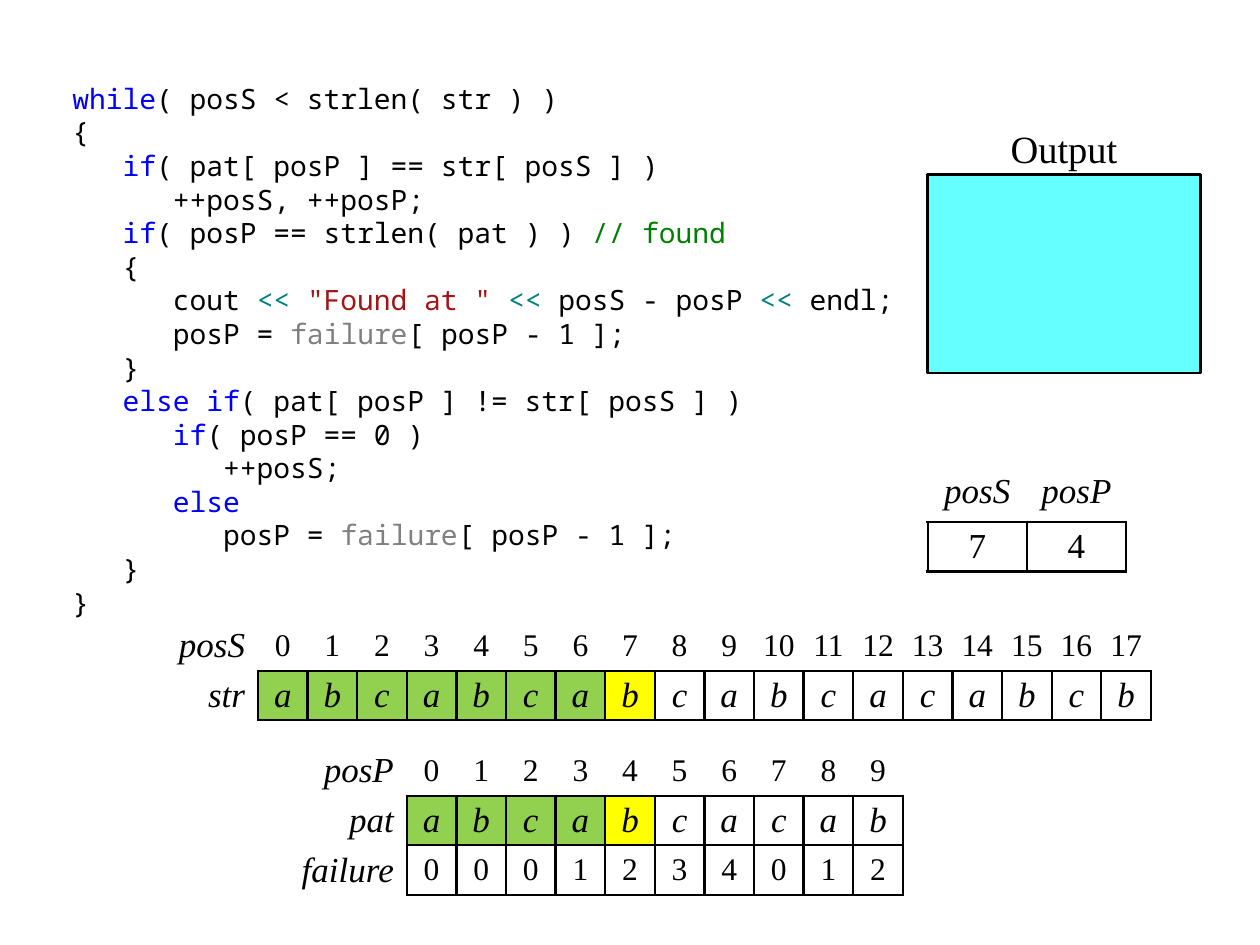
"""Build a slide tracing a string search with its failure table."""
import pptx
import pptx.dml.color
import pptx.enum.shapes
import pptx.enum.text
import pptx.oxml
import pptx.oxml.ns
import pptx.util

RGB = pptx.dml.color.RGBColor
BLACK = RGB(0x00, 0x00, 0x00)
WHITE = RGB(0xFF, 0xFF, 0xFF)
GREEN = RGB(0x92, 0xD0, 0x50)
YELLOW = RGB(0xFF, 0xFF, 0x00)
CYAN = RGB(0x66, 0xFF, 0xFF)
KEYWORD = RGB(0x00, 0x00, 0xFF)
COMMENT = RGB(0x00, 0x80, 0x00)
OPERATOR = RGB(0x00, 0x80, 0x80)
STRING = RGB(0xA3, 0x15, 0x15)
ARRAY = RGB(0x80, 0x80, 0x80)
SERIF = "Times New Roman"
MONO = "Noto Sans Mono"
EMU_PER_PX = 7200
CELL = 50
ALIGN = pptx.enum.text.PP_ALIGN
ANCHOR = pptx.enum.text.MSO_ANCHOR
NO_STYLE = "{2D5ABB26-0587-4C30-8999-92F81FD0307C}"

SHIFT = ("<< ", OPERATOR)
FAILURE = ("failure", ARRAY)
CODE = [
    [("while", KEYWORD), "( posS < strlen( str ) )"],
    ["{"],
    ["   ", ("if", KEYWORD), "( pat[ posP ] == str[ posS ] )"],
    ["      ++posS, ++posP;"],
    ["   ", ("if", KEYWORD), "( posP == strlen( pat ) ) ", ("// found", COMMENT)],
    ["   {"],
    ["      cout ", SHIFT, ('"Found at " ', STRING), SHIFT, "posS - posP ", SHIFT, "endl;"],
    ["      posP = ", FAILURE, "[ posP - 1 ];"],
    ["   }"],
    ["   ", ("else if", KEYWORD), "( pat[ posP ] != str[ posS ] )"],
    ["      ", ("if", KEYWORD), "( posP == 0 )"],
    ["         ++posS;"],
    ["      ", ("else", KEYWORD)],
    ["         posP = ", FAILURE, "[ posP - 1 ];"],
    ["   }"],
    ["}"],
]
CODE_BOX = (60, 76, 850, 550)
OUTPUT_BOX = (935, 176, 275, 200)
OUTPUT_LABEL = (985, 126, 175, 50)

TEXT = "abcabcabcabcacabcb"
PATTERN = "abcabcacab"
FAILURE_VALUES = [0, 0, 0, 1, 2, 3, 4, 0, 1, 2]
POS_S, POS_P = 7, 4
TABLES = [
    {"at": (160, 626), "label_width": 100, "column_width": CELL, "number_size": 18,
     "rows": [["posS", *range(len(TEXT))], ["str", *TEXT]], "position": POS_S},
    {"at": (935, 476), "label_width": 0, "column_width": 2 * CELL, "number_size": 20,
     "rows": [["posS", "posP"], [POS_S, POS_P]], "position": None},
    {"at": (285, 752), "label_width": 125, "column_width": CELL, "number_size": 18,
     "rows": [["posP", *range(len(PATTERN))], ["pat", *PATTERN], ["failure", *FAILURE_VALUES]],
     "position": POS_P},
]


def px(length):
    return pptx.util.Emu(length * EMU_PER_PX)


def box(lengths):
    return [px(length) for length in lengths]


def set_attributes(target, values):
    for name, value in values.items():
        setattr(target, name, value)


def add_run(paragraph, text, size, color=BLACK, name=SERIF, italic=False):
    run = paragraph.add_run()
    run.text = text
    set_attributes(run.font, {"size": pptx.util.Pt(size), "name": name, "italic": italic})
    run.font.color.rgb = color


def add_code(slide):
    shape = slide.placeholders[1]
    set_attributes(shape, dict(zip(("left", "top", "width", "height"), box(CODE_BOX))))
    frame = shape.text_frame
    set_attributes(frame, {
        "word_wrap": True, "auto_size": pptx.enum.text.MSO_AUTO_SIZE.NONE,
        "vertical_anchor": ANCHOR.TOP, "margin_left": px(13), "margin_right": px(5),
        "margin_top": px(6), "margin_bottom": px(6)})
    for index, line in enumerate(CODE):
        paragraph = frame.add_paragraph() if index else frame.paragraphs[0]
        properties = paragraph._p.get_or_add_pPr()
        properties.set("marL", "0")
        properties.set("indent", "0")
        properties.append(pptx.oxml.parse_xml(f"<a:buNone {pptx.oxml.ns.nsdecls('a')}/>"))
        set_attributes(paragraph, {
            "alignment": ALIGN.LEFT, "line_spacing": pptx.util.Pt(19.2),
            "space_before": pptx.util.Pt(0), "space_after": pptx.util.Pt(0)})
        for part in line:
            text, color = (part, BLACK) if isinstance(part, str) else part
            add_run(paragraph, text, 16, color, MONO)


def add_borders(cell):
    properties = cell._tc.get_or_add_tcPr()
    for side in ("lnL", "lnR", "lnT", "lnB"):
        properties.append(pptx.oxml.parse_xml(
            f'<a:{side} {pptx.oxml.ns.nsdecls("a")} w="{pptx.util.Pt(1.5)}">'
            f'<a:solidFill><a:srgbClr val="{BLACK}"/></a:solidFill></a:{side}>'))


def cell_fill(row, index, position):
    if row == 1 and position is not None and index <= position:
        return YELLOW if index == position else GREEN
    return WHITE


def add_table(slide, at, label_width, column_width, number_size, rows, position):
    labels = 1 if label_width else 0
    widths = [label_width] * labels + [column_width] * (len(rows[0]) - labels)
    size = (sum(widths), CELL * len(rows))
    table = slide.shapes.add_table(len(rows), len(widths), *box(at + size)).table
    set_attributes(table, {"first_row": False, "horz_banding": False})
    table._tbl.tblPr.find(pptx.oxml.ns.qn("a:tableStyleId")).text = NO_STYLE
    for column, width in zip(table.columns, widths):
        column.width = px(width)
    for row, values in enumerate(rows):
        table.rows[row].height = px(CELL)
        for column, value in enumerate(values):
            cell = table.cell(row, column)
            is_label = column < labels
            margin = px(13 if is_label else 5)
            set_attributes(cell, {
                "margin_left": margin, "margin_right": margin, "margin_top": 0,
                "margin_bottom": 0,
                "vertical_anchor": ANCHOR.MIDDLE if labels or row else ANCHOR.TOP})
            if row and not is_label:
                add_borders(cell)
                cell.fill.solid()
                cell.fill.fore_color.rgb = cell_fill(row, column - labels, position)
            else:
                cell.fill.background()
            paragraph = cell.text_frame.paragraphs[0]
            paragraph.alignment = ALIGN.RIGHT if is_label else ALIGN.CENTER
            is_word = isinstance(value, str)
            add_run(paragraph, str(value), 20 if is_word else number_size, italic=is_word)


def add_output(slide):
    shape = slide.shapes.add_shape(pptx.enum.shapes.MSO_SHAPE.RECTANGLE, *box(OUTPUT_BOX))
    shape.shadow.inherit = False
    shape.fill.solid()
    shape.fill.fore_color.rgb = CYAN
    shape.line.color.rgb = BLACK
    shape.line.width = pptx.util.Pt(1.5)
    frame = slide.shapes.add_textbox(*box(OUTPUT_LABEL)).text_frame
    set_attributes(frame, {"word_wrap": True, "margin_top": 0})
    paragraph = frame.paragraphs[0]
    paragraph.alignment = ALIGN.CENTER
    add_run(paragraph, "Output", 22)


def main():
    presentation = pptx.Presentation()
    presentation.slide_width = pptx.util.Inches(10)
    presentation.slide_height = pptx.util.Inches(7.5)
    slide = presentation.slides.add_slide(presentation.slide_layouts[1])
    title = slide.shapes.title.element
    title.getparent().remove(title)
    add_code(slide)
    for table in TABLES:
        add_table(slide, **table)
    add_output(slide)
    presentation.save("out.pptx")


if __name__ == "__main__":
    main()
